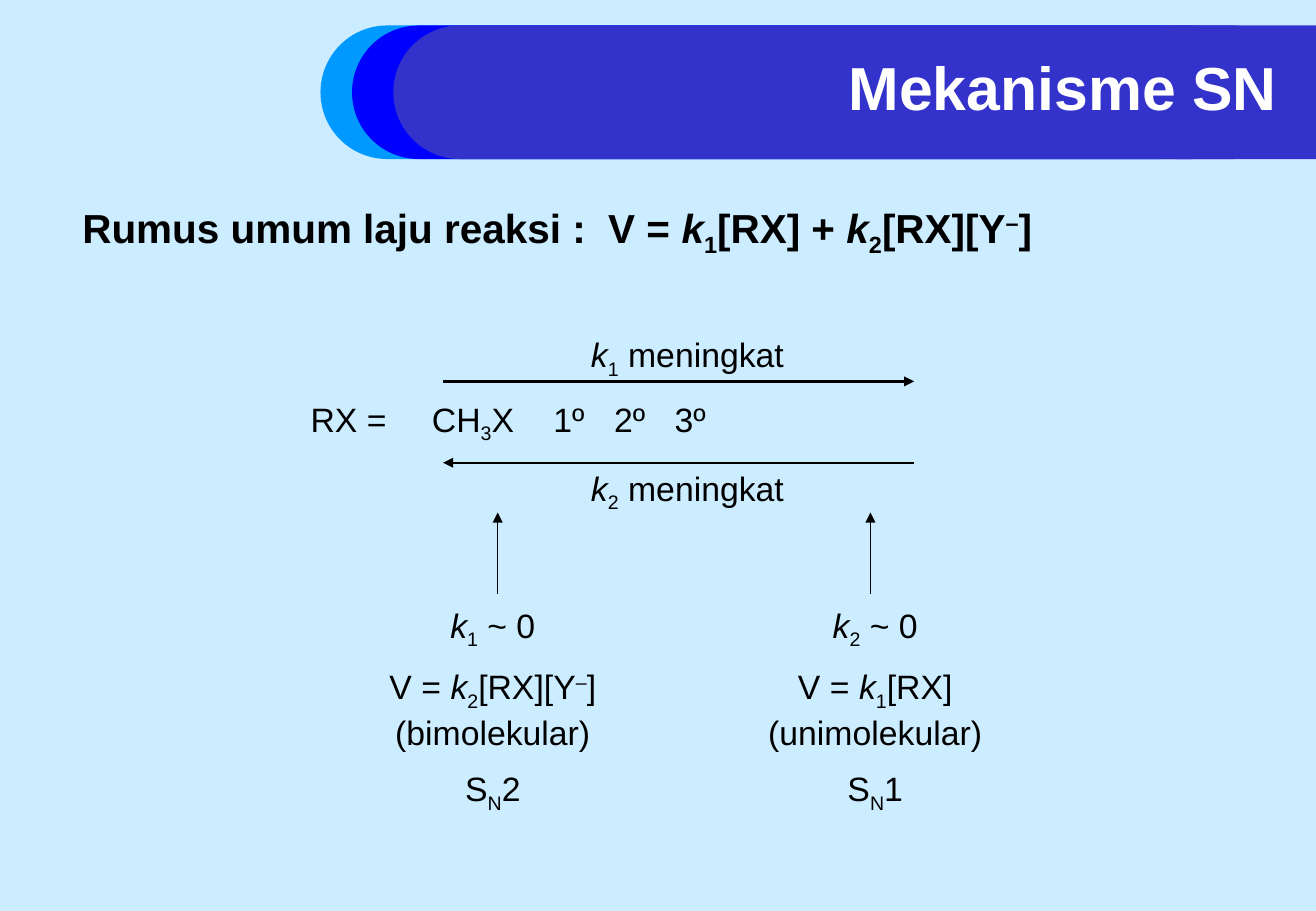
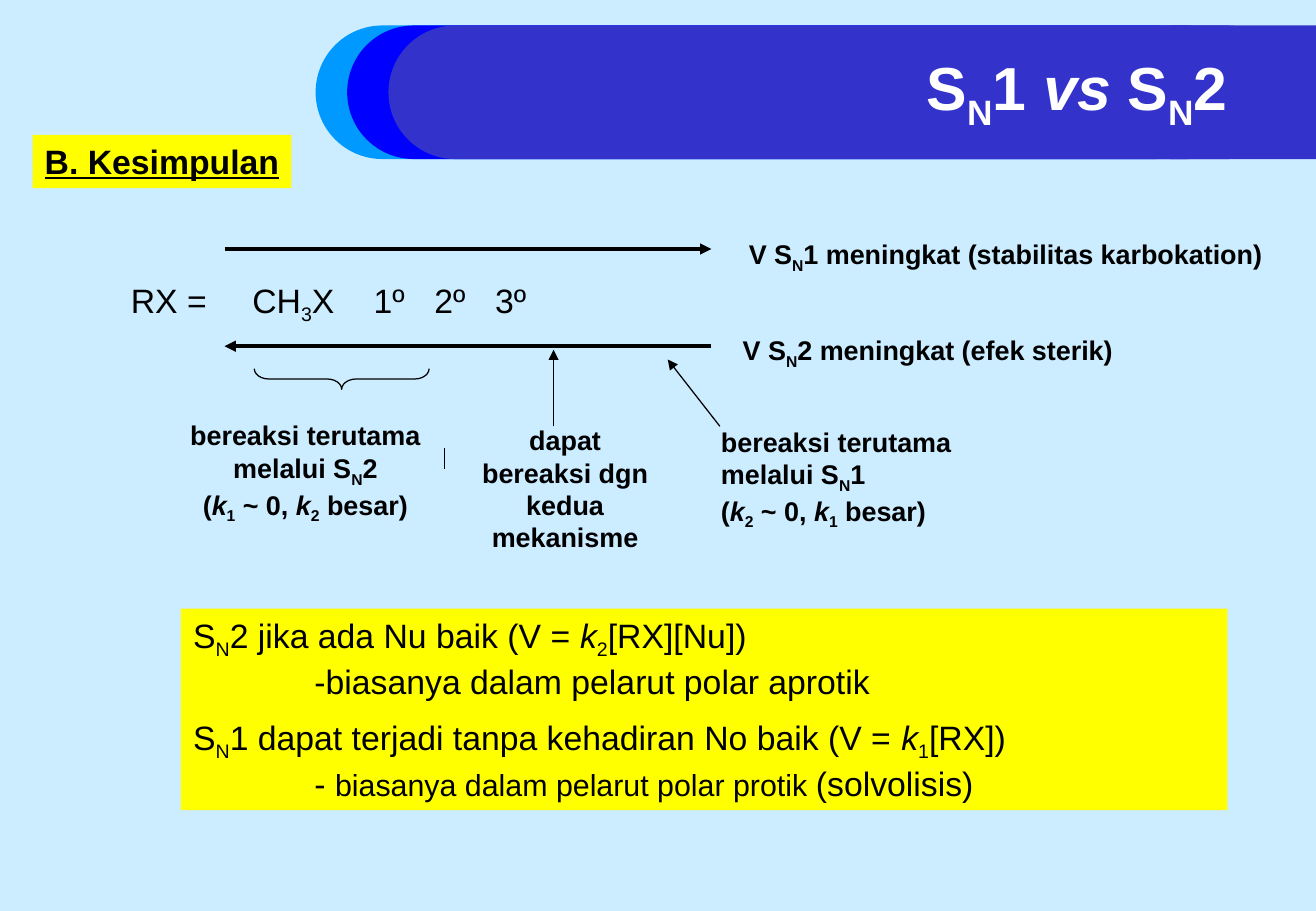
import lxml.etree
import pptx
import pptx.dml.color
import pptx.enum.shapes
import pptx.enum.text
import pptx.oxml.ns
import pptx.util

Inches = pptx.util.Inches
Pt = pptx.util.Pt
qn = pptx.oxml.ns.qn
RGB = pptx.dml.color.RGBColor.from_string
SHAPE = pptx.enum.shapes.MSO_SHAPE
ALIGN = pptx.enum.text.PP_ALIGN

COLORS = {
    "background": "CCECFF",
    "band_light": "0099FF",
    "band_middle": "0000FF",
    "band_dark": "3333CC",
    "highlight": "FFFF00",
    "ink": "000000",
    "title": "FFFFFF",
}
FONT = "Arial"
SLIDE_WIDTH = 10.84
GROUP_GAP = Pt(9)
BASELINES = {"sub": "-25000", "sup": "30000"}

# Runs are plain strings or (text, style) pairs.
K1 = [("k", "italic"), ("1", "sub")]
K2 = [("k", "italic"), ("2", "sub")]
SN = ["S", ("N", "sub")]
RX_Y = ["[RX][Y", ("–", "sup"), "]"]
RX_SERIES = ["RX =\tCH", ("3", "sub"), "X\t1º\t2º\t3º"]
RX_TABS = (1, 2.31, 3.31, 4.18)


def write(frame, paragraphs, size, bold=False, align=ALIGN.LEFT, color="ink",
          tabs=(), gaps=(), indents=()):
    """Fill a text frame; gaps and indents hold paragraph indexes."""
    frame.auto_size = pptx.enum.text.MSO_AUTO_SIZE.NONE
    frame.vertical_anchor = pptx.enum.text.MSO_ANCHOR.TOP
    frame.word_wrap = True
    for index, runs in enumerate(paragraphs):
        paragraph = frame.paragraphs[0] if index == 0 else frame.add_paragraph()
        paragraph.alignment = align
        paragraph.space_before = GROUP_GAP if index in gaps else Pt(0)
        properties = paragraph._p.get_or_add_pPr()
        properties.set("marL", str(Inches(1) if index in indents else 0))
        properties.set("indent", "0")
        lxml.etree.SubElement(properties, qn("a:buNone"))
        if tabs:
            tab_list = lxml.etree.SubElement(properties, qn("a:tabLst"))
            for position in tabs:
                lxml.etree.SubElement(tab_list, qn("a:tab"), pos=str(Inches(position)), algn="l")
        for item in runs:
            text, style = item if isinstance(item, tuple) else (item, "")
            run = paragraph.add_run()
            run.text = text
            run.font.name = FONT
            run.font.size = Pt(size - 2 if style == "small" else size)
            run.font.bold = bold
            run.font.italic = style == "italic"
            run.font.underline = style == "underline"
            run.font.color.rgb = RGB(COLORS[color])
            if style in BASELINES:
                run._r.get_or_add_rPr().set("baseline", BASELINES[style])


presentation = pptx.Presentation()
presentation.slide_width = Inches(SLIDE_WIDTH)
presentation.slide_height = Inches(7.5)
master_fill = presentation.slide_master.background.fill
master_fill.solid()
master_fill.fore_color.rgb = RGB(COLORS["background"])

mechanism = presentation.slides.add_slide(presentation.slide_layouts.get_by_name("Title Only"))
comparison = presentation.slides.add_slide(presentation.slide_layouts.get_by_name("Title and Content"))

# Title bands: slide, band left, title right edge, title
for slide, band_left, title_right, title_runs in (
    (mechanism, 2.64, 10.62, ["Mekanisme SN"]),
    (comparison, 2.6, 10.21, SN + ["1 ", ("vs", "italic"), " "] + SN + ["2"]),
):
    edge_left = band_left + 7.04
    for kind, left, width, color in (
        (SHAPE.ROUNDED_RECTANGLE, band_left, 7.46, "band_light"),
        (SHAPE.ROUNDED_RECTANGLE, band_left + 0.26, 7.46, "band_middle"),
        (SHAPE.ROUNDED_RECTANGLE, band_left + 0.6, 7.46, "band_dark"),
        (SHAPE.RECTANGLE, edge_left, SLIDE_WIDTH - edge_left, "band_dark"),
    ):
        band = slide.shapes.add_shape(kind, Inches(left), Inches(0.21), Inches(width), Inches(1.1))
        if kind == SHAPE.ROUNDED_RECTANGLE:
            band.adjustments[0] = 0.5
        band.shadow.inherit = False
        band.fill.solid()
        band.fill.fore_color.rgb = RGB(COLORS[color])
        band.line.fill.background()

    title = slide.shapes.title
    title.left, title.top = Inches(5.2), Inches(0.36)
    title.width, title.height = Inches(title_right - 5.2), Inches(0.75)
    write(title.text_frame, [title_runs], 36, True, ALIGN.RIGHT, "title")
    # The title must stand in front of the band.
    slide.shapes._spTree.append(title._element)

# Text boxes: slide, left, top, width, height, paragraphs, format
label = {"size": 20}
column = {"size": 20, "align": ALIGN.CENTER, "gaps": (1, 3)}
series = {"size": 20, "tabs": RX_TABS}
note = {"size": 16, "bold": True}
centered_note = {**note, "align": ALIGN.CENTER}
for slide, left, top, width, height, paragraphs, style in (
    (mechanism, 0.58, 1.62, 8.5, 0.56,
     [["Rumus umum laju reaksi :  V = "] + K1 + ["[RX] + "] + K2 + RX_Y],
     {"size": 24, "bold": True}),
    (mechanism, 2.46, 3.23, 5, 0.48, [RX_SERIES], series),
    (mechanism, 4.77, 2.7, 2.2, 0.48, [K1 + [" meningkat"]], label),
    (mechanism, 4.77, 3.8, 2.2, 0.48, [K2 + [" meningkat"]], label),
    (mechanism, 2.96, 4.93, 2.2, 1.84,
     [K1 + [" ~ 0"], ["V = "] + K2 + RX_Y, ["(bimolekular)"], SN + ["2"]], column),
    (mechanism, 6.11, 4.93, 2.2, 1.84,
     [K2 + [" ~ 0"], ["V = "] + K1 + ["[RX]"], ["(unimolekular)"], SN + ["1"]], column),
    (comparison, 0.98, 2.25, 5, 0.48, [RX_SERIES], series),
    (comparison, 6.07, 1.91, 4.7, 0.41,
     [["V "] + SN + ["1 meningkat (stabilitas karbokation)"]], note),
    (comparison, 6.02, 2.7, 3.6, 0.41,
     [["V "] + SN + ["2 meningkat (efek sterik)"]], note),
    (comparison, 1.32, 3.4, 2.39, 0.98,
     [["bereaksi terutama melalui "] + SN + ["2"],
      ["("] + K1 + [" ~ 0, "] + K2 + [" besar)"]], centered_note),
    (comparison, 5.84, 3.45, 2.22, 0.98,
     [["bereaksi terutama melalui "] + SN + ["1"],
      ["("] + K2 + [" ~ 0, "] + K1 + [" besar)"]], note),
    (comparison, 3.8, 3.44, 1.71, 1.17,
     [["dapat bereaksi dgn kedua mekanisme"]], centered_note),
):
    box = slide.shapes.add_textbox(Inches(left), Inches(top), Inches(width), Inches(height))
    write(box.text_frame, paragraphs, **style)

# Lines: slide, from, to, line width, arrowhead
for slide, start, end, weight, has_arrow in (
    (mechanism, (3.65, 3.14), (7.53, 3.14), 1.5, True),
    (mechanism, (7.53, 3.81), (3.65, 3.81), 1.5, True),
    (mechanism, (4.1, 4.89), (4.1, 4.22), 0.75, True),
    (mechanism, (7.17, 4.89), (7.17, 4.22), 0.75, True),
    (comparison, (1.85, 2.05), (5.86, 2.05), 2.25, True),
    (comparison, (5.86, 2.85), (1.85, 2.85), 2.25, True),
    (comparison, (4.56, 3.51), (4.56, 2.88), 0.75, True),
    (comparison, (5.93, 3.51), (5.5, 2.96), 0.75, True),
    (comparison, (3.66, 3.69), (3.66, 3.86), 0.75, False),
):
    connector = slide.shapes.add_connector(
        pptx.enum.shapes.MSO_CONNECTOR.STRAIGHT, *map(Inches, start + end))
    connector.line.width = Pt(weight)
    connector.line.color.rgb = RGB(COLORS["ink"])
    if has_arrow:
        lxml.etree.SubElement(connector.line._get_or_add_ln(), qn("a:tailEnd"), type="triangle")
    lxml.etree.SubElement(connector._element.spPr, qn("a:effectLst"))

# Brace under CH3X and 1º
brace = comparison.shapes.add_shape(
    SHAPE.LEFT_BRACE, Inches(2.73), Inches(2.4), Inches(0.17), Inches(1.44))
brace.rotation = 270
brace.adjustments[0] = 0.7
brace.shadow.inherit = False
brace.fill.background()
brace.line.color.rgb = RGB(COLORS["ink"])
brace.line.width = Pt(0.75)

# Highlighted heading and conclusions
heading = comparison.shapes.add_textbox(Inches(0.27), Inches(1.11), Inches(2.13), Inches(0.44))
write(heading.text_frame, [[("B. Kesimpulan", "underline")]], 20, True, ALIGN.CENTER)
heading.text_frame.word_wrap = False

conclusions = comparison.placeholders[1]
conclusions.left, conclusions.top = Inches(1.49), Inches(5.01)
conclusions.width, conclusions.height = Inches(8.62), Inches(1.66)
write(conclusions.text_frame, [
    SN + ["2 jika ada Nu baik (V = "] + K2 + ["[RX][Nu])"],
    ["-biasanya dalam pelarut polar aprotik"],
    SN + ["1 dapat terjadi tanpa kehadiran No baik (V = "] + K1 + ["[RX])"],
    ["- ", ("biasanya dalam pelarut polar protik ", "small"), "(solvolisis)"],
], 20, gaps=(2,), indents=(1, 3))

for shape in (heading, conclusions):
    shape.fill.solid()
    shape.fill.fore_color.rgb = RGB(COLORS["highlight"])

presentation.save("out.pptx")
